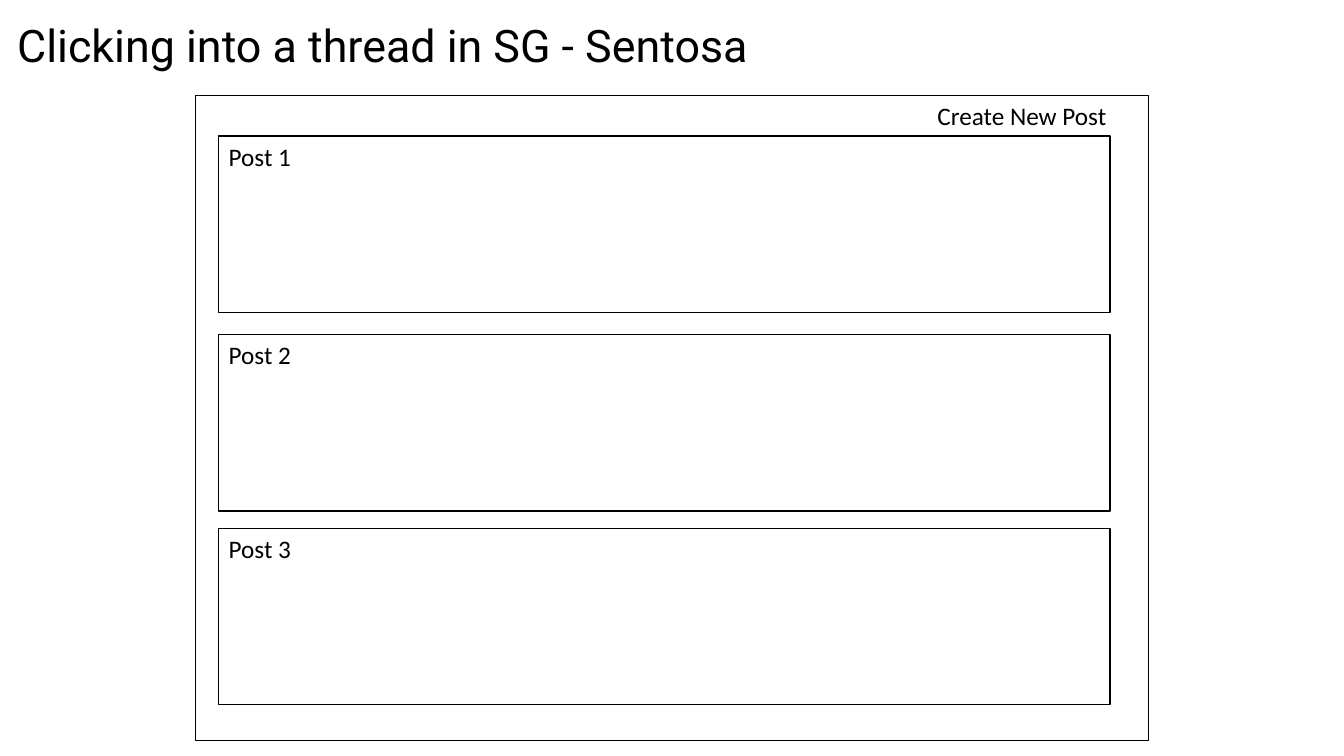
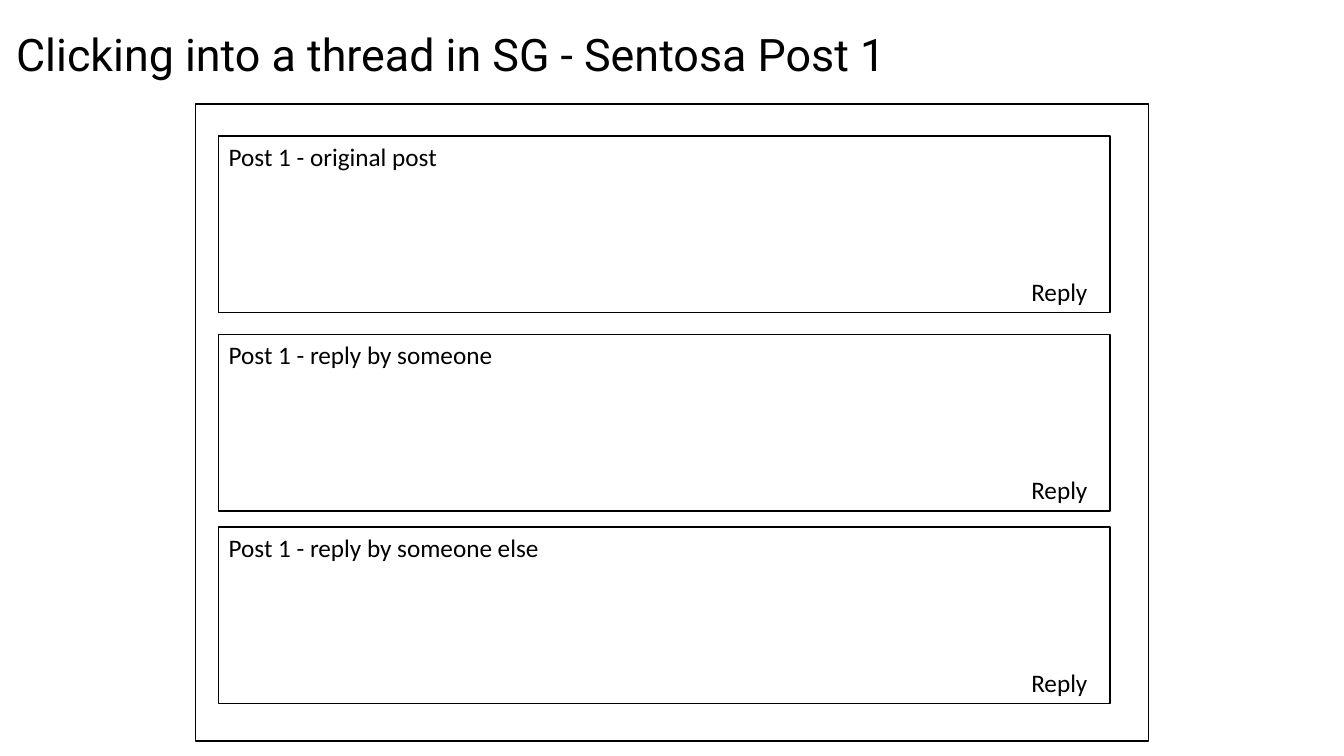
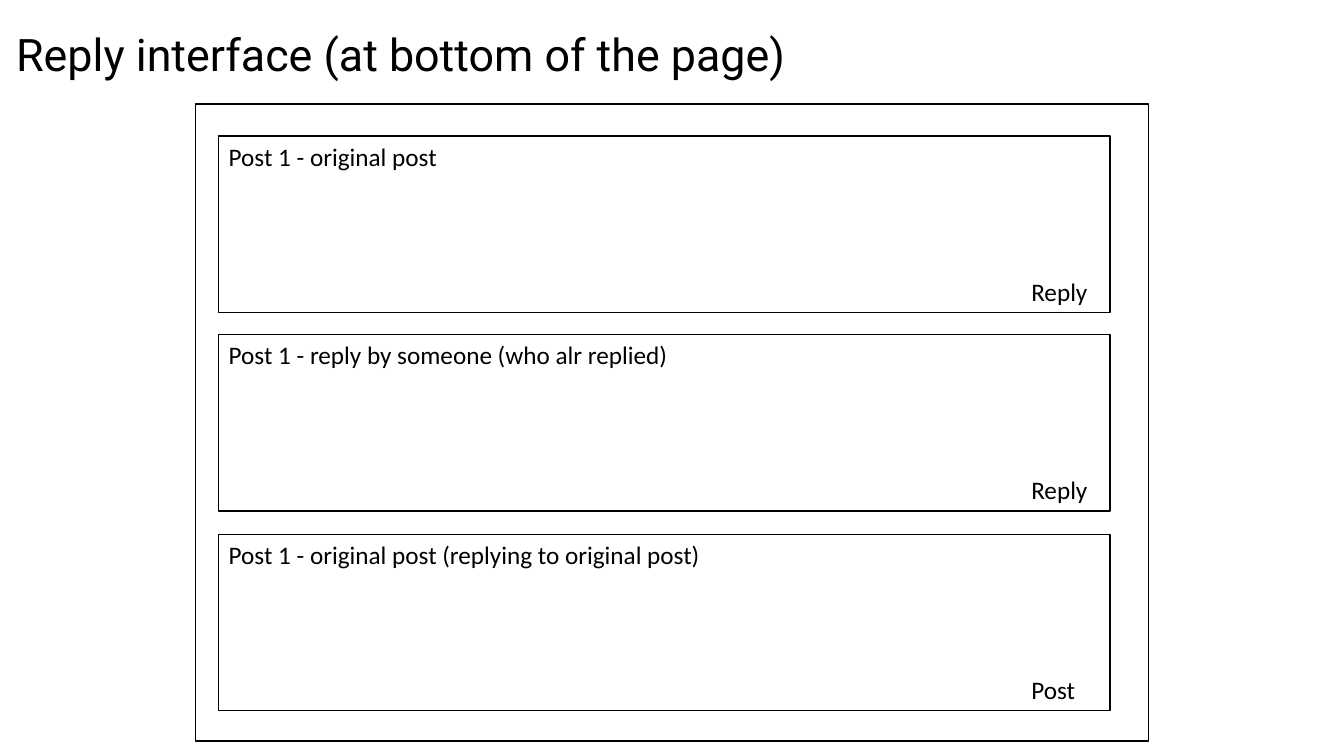
import pptx
import pptx.util
import pptx.dml.color
import pptx.enum.shapes
import pptx.enum.text

Inches = pptx.util.Inches
COLORS = {"ink": "000000", "paper": "FFFFFF"}
BODY_FONT, TITLE_FONT = "Calibri", "Roboto"
BOX_LEFT, BOX_WIDTH, BOX_HEIGHT = 2.17, 8.84, 1.75
FRAME_BOTTOM = 7.35
BUTTON_OFFSET = 1.34


def write(target, text, size=18, font=BODY_FONT, anchor=pptx.enum.text.MSO_ANCHOR.TOP):
    frame = target.text_frame
    frame.text = text
    frame.word_wrap = True
    frame.auto_size = pptx.enum.text.MSO_AUTO_SIZE.NONE
    frame.vertical_anchor = anchor
    paragraph = frame.paragraphs[0]
    paragraph.alignment = pptx.enum.text.PP_ALIGN.LEFT
    run_font = paragraph.runs[0].font
    run_font.size = pptx.util.Pt(size)
    run_font.name = font
    run_font.color.rgb = pptx.dml.color.RGBColor.from_string(COLORS["ink"])


def outline(slide, left, top, width, height):
    box = slide.shapes.add_shape(
        pptx.enum.shapes.MSO_SHAPE.RECTANGLE,
        Inches(left), Inches(top), Inches(width), Inches(height))
    box.shadow.inherit = False
    box.fill.background()
    box.line.color.rgb = pptx.dml.color.RGBColor.from_string(COLORS["ink"])
    box.line.width = pptx.util.Pt(1)
    return box


screens = [
    {"title": "Clicking into a thread in SG - Sentosa",
     "title_at": (0.07, 0), "frame_top": 0.95, "action": "Create New Post",
     "posts": [(1.35, "Post 1", None),
               (3.32, "Post 2", None),
               (5.24, "Post 3", None)]},
    {"title": "Clicking into a thread in SG - Sentosa Post 1",
     "title_at": (0.06, 0.09), "frame_top": 1.03, "action": None,
     "posts": [(1.35, "Post 1 - original post", "Reply"),
               (3.32, "Post 1 - reply by someone", "Reply"),
               (5.23, "Post 1 - reply by someone else", "Reply")]},
    {"title": "Reply interface (at bottom of the page)",
     "title_at": (0.06, 0.09), "frame_top": 1.03, "action": None,
     "posts": [(1.35, "Post 1 - original post", "Reply"),
               (3.32, "Post 1 - reply by someone (who alr replied)", "Reply"),
               (5.3, "Post 1 - original post (replying to original post)", "Post")]},
]

deck = pptx.Presentation()
deck.slide_width, deck.slide_height = Inches(13.33), Inches(7.5)
background = deck.slide_master.background.fill
background.solid()
background.fore_color.rgb = pptx.dml.color.RGBColor.from_string(COLORS["paper"])
title_only = deck.slide_layouts.get_by_name("Title Only")

for screen in screens:
    slide = deck.slides.add_slide(title_only)

    heading = slide.shapes.title
    heading.left, heading.top = (Inches(value) for value in screen["title_at"])
    heading.width, heading.height = Inches(11.84), Inches(0.95)
    write(heading, screen["title"], 32, TITLE_FONT, pptx.enum.text.MSO_ANCHOR.MIDDLE)
    heading.text_frame.paragraphs[0].line_spacing = 0.9

    outline(slide, 1.94, screen["frame_top"], 9.45, FRAME_BOTTOM - screen["frame_top"])

    labels = []
    if screen["action"]:
        labels.append((9.2, screen["frame_top"], 2.2, screen["action"]))

    for top, post, button in screen["posts"]:
        write(outline(slide, BOX_LEFT, top, BOX_WIDTH, BOX_HEIGHT), post)
        if button:
            labels.append((10.13, top + BUTTON_OFFSET, 0.89, button))

    for left, top, width, text in labels:
        label = slide.shapes.add_textbox(
            Inches(left), Inches(top), Inches(width), Inches(0.4))
        write(label, text)

deck.save("out.pptx")
